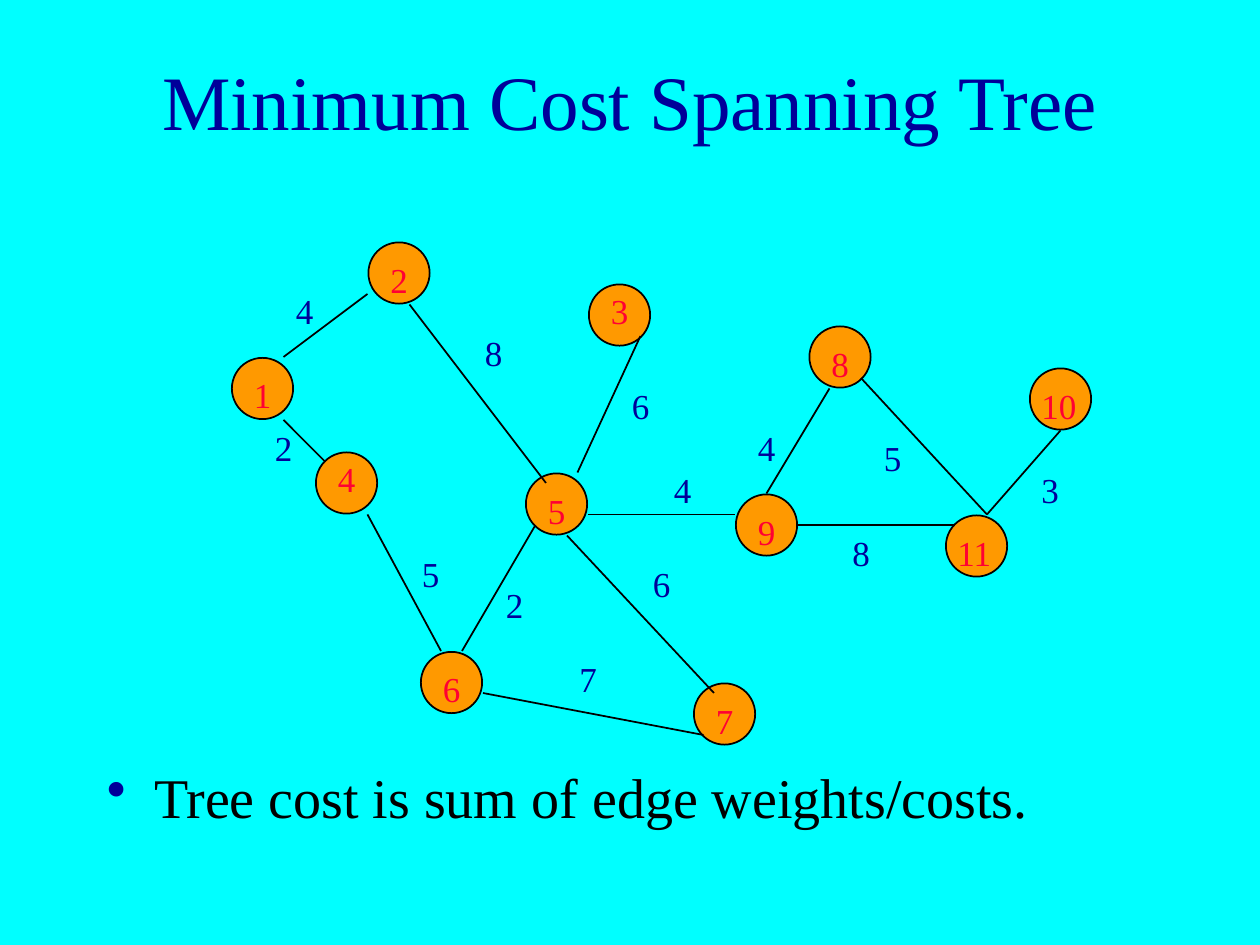
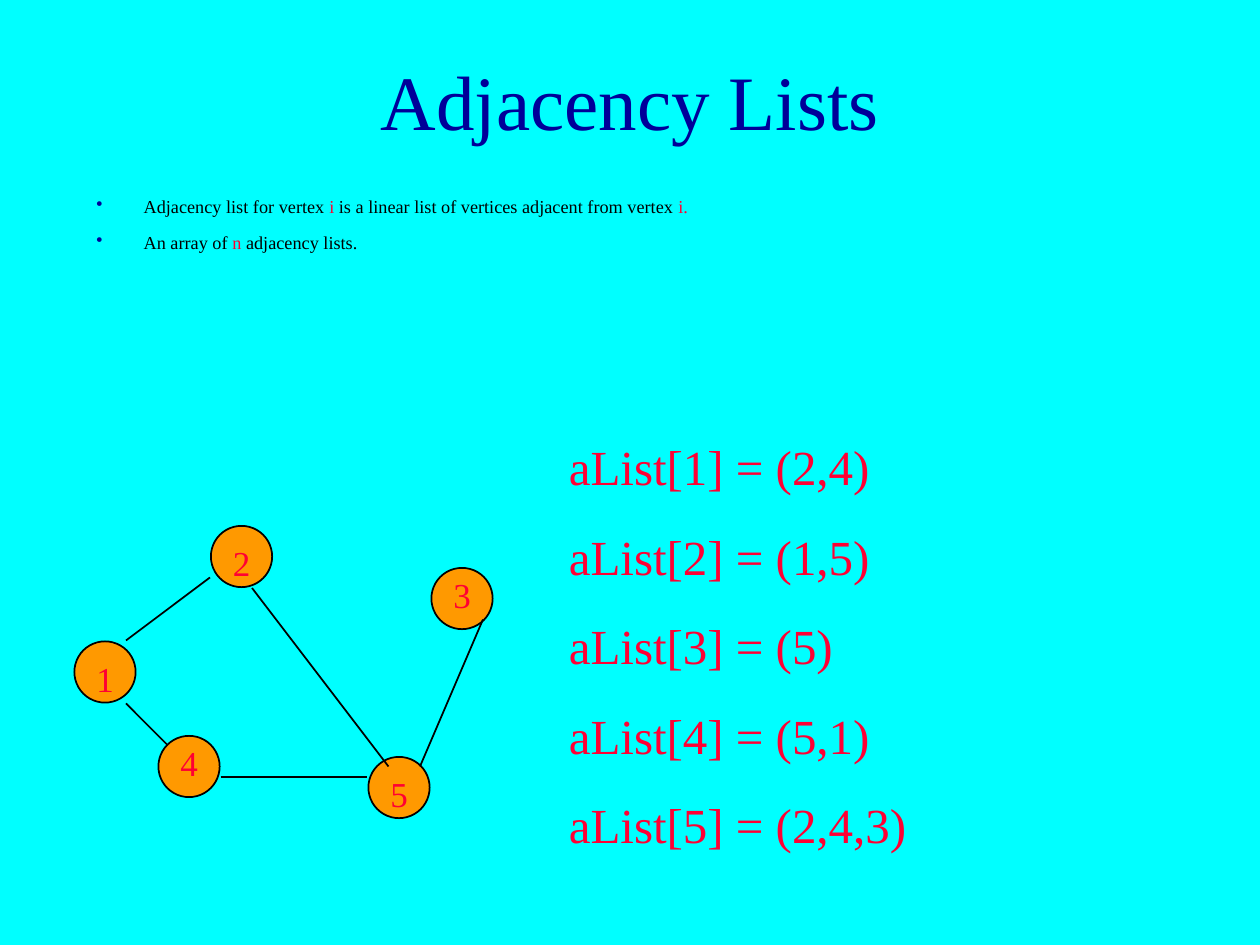
import pptx
import pptx.util
import pptx.dml.color
import pptx.enum.shapes
import pptx.enum.text
import lxml.etree
from dataclasses import dataclass

Pt = pptx.util.Pt

# Content: graph places are (column, row) on a grid of GRID points
GRID = 6
# vertex: (cell of its circle, offset of its number from that cell)
VERTICES = {
    1: ((22, 34), (1, 1)),
    2: ((35, 23), (1, 1)),
    3: ((56, 27), (1, 0)),
    8: ((77, 31), (1, 1)),
    10: ((98, 35), (0, 1)),
    4: ((30, 43), (1, 0)),
    5: ((50, 45), (1, 1)),
    9: ((70, 47), (1, 1)),
    11: ((90, 49), (0, 1)),
    6: ((40, 62), (1, 1)),
    7: ((66, 65), (1, 1)),
}
# edge: (start, end, weight, place of the weight)
SHARED_EDGES = [
    ((35, 28), (27, 34), 4, (27, 27)),
    ((39, 29), (52, 46), 8, (45, 31)),
    ((27, 40), (31, 44), 2, (25, 40)),
]
TREE_EDGES = SHARED_EDGES + [
    ((35, 49), (42, 62), 5, (39, 52)),
    ((46, 66), (67, 70), 7, (54, 62)),
    ((61, 32), (55, 45), 6, (59, 36)),
    ((54, 51), (68, 66), 6, (61, 53)),
    ((79, 37), (73, 47), 4, (71, 40)),
    ((82, 36), (94, 49), 5, (83, 41)),
    ((94, 49), (101, 41), 3, (98, 44)),
    ((56, 49), (70, 49), 4, (63, 44)),
    ((76, 50), (91, 50), 8, (80, 50)),
    ((51, 50), (44, 62), 2, (47, 55)),
]
LIST_EDGES = SHARED_EDGES + [
    ((61, 32), (55, 46), None, None),
    ((36, 47), (50, 47), None, None),
]
LIST_VERTICES = [1, 2, 3, 4, 5]
LIST_SHIFT = (-15, 27)

# Bullets are lists of runs; every second run is highlighted
COST_BULLETS = [["Tree cost is sum of edge weights/costs."]]
LIST_BULLETS = [
    ["Adjacency list for vertex", " i ",
     "is a linear list of vertices adjacent from vertex", " i."],
    ["An array of", " n ", "adjacency lists."],
]
ADJACENCY = {1: "(2,4)", 2: "(1,5)", 3: "(5)", 4: "(5,1)", 5: "(2,4,3)"}


@dataclass(frozen=True)
class Theme:
    background: str = "00FFFF"
    heading: str = "000099"
    body: str = "000000"
    highlight: str = "FF0033"
    vertex: str = "FF9900"
    font: str = "Times New Roman"
    title_size: float = 44
    bullet_size: float = 32
    small_bullet_size: float = 10.4
    list_size: float = 28
    graph_size: float = 20


THEME = Theme()


def rgb(value):
    return pptx.dml.color.RGBColor.from_string(value)


def add_text(slide, box, lines, size, color, before=0, centred=False):
    """Add a text box whose lines are lists of runs; return its paragraphs."""
    frame = slide.shapes.add_textbox(*map(Pt, box)).text_frame
    frame.word_wrap = True
    if centred:
        frame.vertical_anchor = pptx.enum.text.MSO_ANCHOR.MIDDLE
    for index, runs in enumerate(lines):
        paragraph = frame.add_paragraph() if index else frame.paragraphs[0]
        paragraph.font.name = THEME.font
        paragraph.font.size = Pt(size)
        paragraph.font.color.rgb = rgb(color)
        paragraph.space_before = Pt(before)
        if centred:
            paragraph.alignment = pptx.enum.text.PP_ALIGN.CENTER
        for position, text in enumerate(runs):
            run = paragraph.add_run()
            run.text = text
            if position % 2:
                run.font.color.rgb = rgb(THEME.highlight)
    return frame.paragraphs


def add_bullets(slide, box, lines, size):
    namespace = "http://schemas.openxmlformats.org/drawingml/2006/main"
    for paragraph in add_text(slide, box, lines, size, THEME.body, before=8):
        properties = paragraph._p.get_or_add_pPr()
        properties.set("marL", str(Pt(27)))
        properties.set("indent", str(-Pt(27)))
        bullet = lxml.etree.fromstring(
            f'<x xmlns:a="{namespace}"><a:buClr><a:srgbClr val="{THEME.heading}"/>'
            '</a:buClr><a:buChar char="•"/></x>')
        # Bullet elements come after the spacing and before the run defaults
        defaults = properties.find(f"{{{namespace}}}defRPr")
        for element in list(bullet):
            defaults.addprevious(element)


def add_titled_slide(presentation, title):
    slide = presentation.slides.add_slide(presentation.slide_layouts[6])
    slide.background.fill.solid()
    slide.background.fill.fore_color.rgb = rgb(THEME.background)
    add_text(slide, (54, 12, 612, 90), [[title]], THEME.title_size,
             THEME.heading, centred=True)
    return slide


def add_graph(slide, vertices, edges, shift=(0, 0), weighted=False):
    def place(cell, offset=(0, 0)):
        return [GRID * sum(parts) for parts in zip(cell, offset, shift)]

    def add_number(number, position, width, color):
        add_text(slide, (*position, width, 31.2), [[str(number)]],
                 THEME.graph_size, color, before=12.5)

    # Circles sit half a point inside their grid cells
    for vertex in vertices:
        left, top = place(VERTICES[vertex][0])
        circle = slide.shapes.add_shape(
            pptx.enum.shapes.MSO_SHAPE.OVAL,
            Pt(left + 0.5), Pt(top + 0.5), Pt(35), Pt(35))
        circle.shadow.inherit = False
        circle.fill.solid()
        circle.fill.fore_color.rgb = rgb(THEME.vertex)
        circle.line.color.rgb = rgb(THEME.body)
        circle.line.width = Pt(1)

    # Edges
    for start, end, _, _ in edges:
        edge = slide.shapes.add_connector(
            pptx.enum.shapes.MSO_CONNECTOR.STRAIGHT,
            *map(Pt, place(start) + place(end)))
        edge.line.color.rgb = rgb(THEME.body)
        edge.line.width = Pt(1)
        lxml.etree.SubElement(edge._element.spPr,
                              pptx.oxml.ns.qn("a:effectLst"))

    # Vertex numbers and edge weights
    for vertex in vertices:
        width = 18 * len(str(vertex))
        add_number(vertex, place(*VERTICES[vertex]), width, THEME.highlight)
    if weighted:
        for _, _, weight, cell in edges:
            add_number(weight, place(cell), 24, THEME.heading)


def main():
    presentation = pptx.Presentation()
    presentation.slide_width, presentation.slide_height = Pt(720), Pt(540)

    # Minimum cost spanning tree
    slide = add_titled_slide(presentation, "Minimum Cost Spanning Tree")
    add_bullets(slide, (54, 432, 612, 90), COST_BULLETS, THEME.bullet_size)
    add_graph(slide, VERTICES, TREE_EDGES, weighted=True)

    # Adjacency lists
    slide = add_titled_slide(presentation, "Adjacency Lists")
    add_bullets(slide, (48, 108, 612, 42), LIST_BULLETS,
                THEME.small_bullet_size)
    add_graph(slide, LIST_VERTICES, LIST_EDGES, LIST_SHIFT)
    add_text(slide, (318, 246, 378, 245.5),
             [[f"aList[{vertex}] = {neighbours}"]
              for vertex, neighbours in ADJACENCY.items()],
             THEME.list_size, THEME.highlight, before=17.5)

    presentation.save("out.pptx")


if __name__ == "__main__":
    main()
